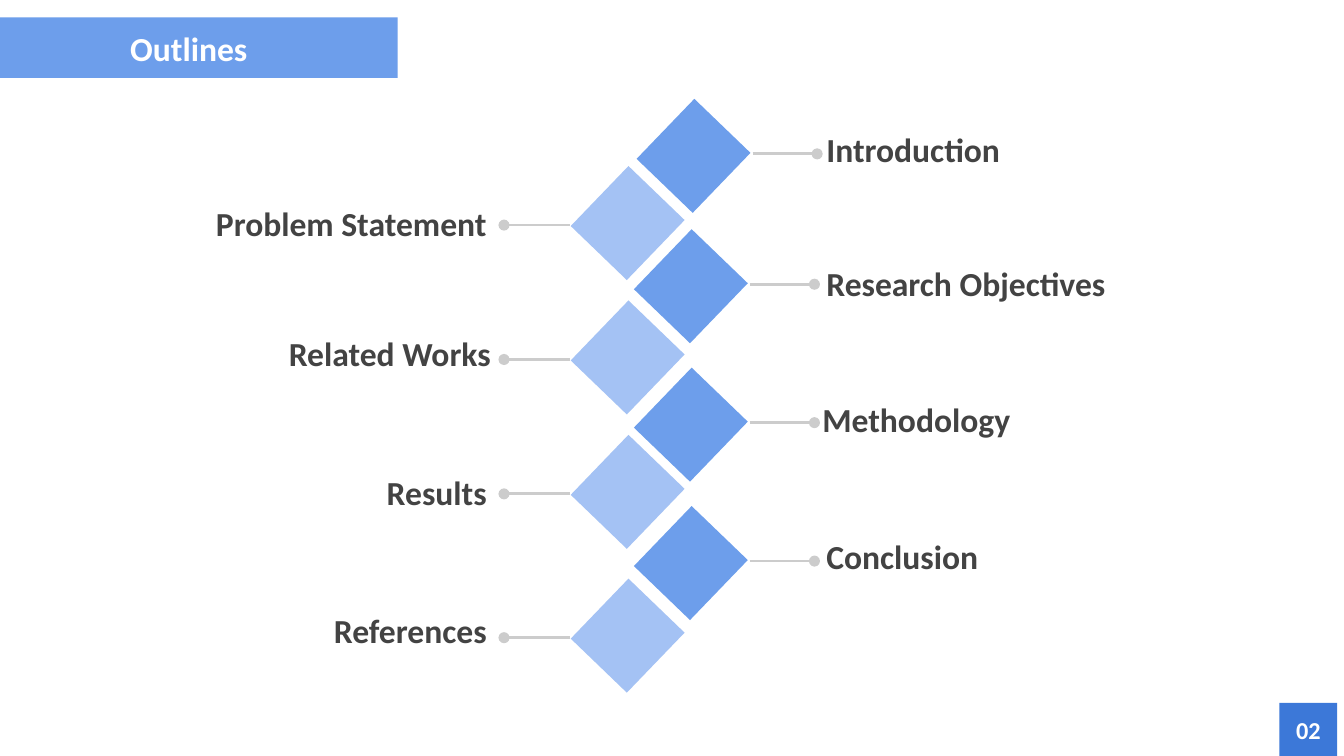
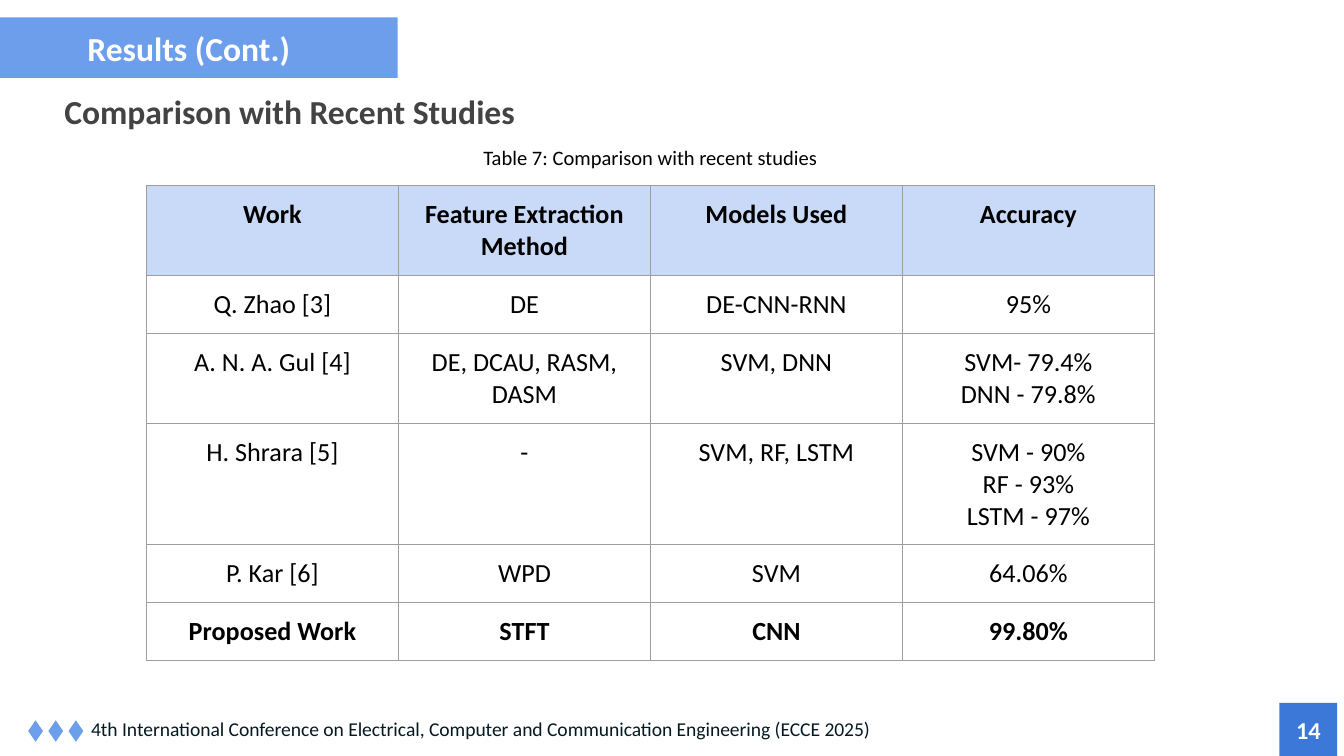
from lxml import etree
from pptx import Presentation
from pptx.dml.color import RGBColor
from pptx.enum.shapes import MSO_CONNECTOR, MSO_SHAPE
from pptx.enum.text import MSO_ANCHOR, MSO_AUTO_SIZE, PP_ALIGN
from pptx.oxml.ns import qn
from pptx.util import Emu, Pt

# Enum members
RECTANGLE, DIAMOND = MSO_SHAPE.RECTANGLE, MSO_SHAPE.DIAMOND
STRAIGHT = MSO_CONNECTOR.STRAIGHT
LEFT, CENTER, RIGHT = PP_ALIGN.LEFT, PP_ALIGN.CENTER, PP_ALIGN.RIGHT
TOP, MIDDLE = MSO_ANCHOR.TOP, MSO_ANCHOR.MIDDLE
FIT_SHAPE = MSO_AUTO_SIZE.SHAPE_TO_FIT_TEXT

# Shared style: 200 px to the inch
SCALE = 4572
WIDTH, HEIGHT = 2000, 1125
INSET = 20
FONT = "Calibri"
WHITE = RGBColor(0xFF, 0xFF, 0xFF)
BLACK = RGBColor(0x00, 0x00, 0x00)
BLUE = RGBColor(0x6D, 0x9E, 0xEB)
LIGHT_BLUE = RGBColor(0xA4, 0xC2, 0xF4)
PALE_BLUE = RGBColor(0xC9, 0xDA, 0xF8)
DEEP_BLUE = RGBColor(0x3C, 0x78, 0xD8)
DARK_GRAY = RGBColor(0x43, 0x43, 0x43)
LINE_GRAY = RGBColor(0xCC, 0xCC, 0xCC)
BORDER_GRAY = RGBColor(0x9E, 0x9E, 0x9E)
INK = RGBColor(0x05, 0x19, 0x22)

CONFERENCE = ("4th International Conference on Electrical, Computer and "
              "Communication Engineering (ECCE 2025)")

# Outline steps from top to bottom, right and left in turn:
# label, diamond left and top, label left and top
OUTLINE = [
    ("Introduction", 974, 170, 1210, 172),
    ("Problem Statement", 876, 270, 228, 282),
    ("Research Objectives", 970, 364, 1210, 372),
    ("Related Works", 876, 470, 234, 476),
    ("Methodology", 970, 570, 1204, 574),
    ("Results", 876, 670, 228, 682),
    ("Conclusion", 970, 776, 1210, 778),
    ("References", 876, 884, 228, 888),
]

STUDIES = [
    ("Work", "Feature Extraction Method", "Models Used", "Accuracy"),
    ("Q. Zhao [3]", "DE", "DE-CNN-RNN", "95%"),
    ("A. N. A. Gul [4]", "DE, DCAU, RASM, DASM", "SVM, DNN",
     "SVM- 79.4%\nDNN - 79.8%"),
    ("H. Shrara [5]", "-", "SVM, RF, LSTM",
     "SVM - 90%\nRF - 93%\nLSTM - 97%"),
    ("P. Kar [6]", "WPD", "SVM", "64.06%"),
    ("Proposed Work", "STFT", "CNN", "99.80%"),
]


def px(*lengths):
    return [Emu(length * SCALE) for length in lengths]


class Deck:
    """Holds the presentation, its style and the current slide."""

    def __init__(self):
        self.deck = Presentation()
        self.deck.slide_width, self.deck.slide_height = px(WIDTH, HEIGHT)

    def page(self, title, number):
        self.slide = self.deck.slides.add_slide(self.deck.slide_layouts[6])
        self.shapes = self.slide.shapes
        badge = self.shape(RECTANGLE, (1904, 1046, 86, 80), DEEP_BLUE)
        self.set_text(badge.text_frame, number, 13, WHITE, True, CENTER, MIDDLE)
        band = self.shape(RECTANGLE, (-30, 26, 622, 90), BLUE)
        self.set_text(band.text_frame, title, 18, WHITE, True, CENTER, MIDDLE)

    def set_text(self, frame, text, size, color, bold, align, anchor=TOP):
        frame.word_wrap = True
        frame.vertical_anchor = anchor
        self.set_margins(frame)
        frame.text = text
        self.set_font(frame, size, color, bold, align)

    def set_margins(self, holder):
        (holder.margin_left, holder.margin_top,
         holder.margin_right, holder.margin_bottom) = px(*[INSET] * 4)

    def set_font(self, frame, size, color, bold, align):
        for para in frame.paragraphs:
            para.alignment = align
            para.font.name = FONT
            para.font.size = Pt(size)
            para.font.bold = bold
            para.font.color.rgb = color

    def shape(self, kind, area, color, rotation=0):
        shape = self.shapes.add_shape(kind, *px(*area))
        shape.shadow.inherit = False
        shape.fill.solid()
        shape.fill.fore_color.rgb = color
        shape.line.fill.background()
        shape.rotation = rotation
        return shape

    def text(self, area, text, size=18, color=DARK_GRAY, bold=True, align=LEFT):
        box = self.shapes.add_textbox(*px(*area))
        self.set_text(box.text_frame, text, size, color, bold, align)
        box.text_frame.auto_size = FIT_SHAPE

    def pointer(self, start, end, y):
        connector = self.shapes.add_connector(STRAIGHT, *px(start, y, end, y))
        connector.line.color.rgb = LINE_GRAY
        connector.line.width = Pt(1.5)
        properties = connector._element.spPr
        outline = properties.find(qn("a:ln"))
        etree.SubElement(outline, qn("a:tailEnd"), type="oval")
        etree.SubElement(properties, qn("a:effectLst"))

    def borders(self, cell):
        properties = cell._tc.get_or_add_tcPr()
        for side in ("lnL", "lnR", "lnT", "lnB"):
            line = etree.SubElement(properties, qn(f"a:{side}"), w=str(Pt(0.75)))
            fill = etree.SubElement(line, qn("a:solidFill"))
            etree.SubElement(fill, qn("a:srgbClr"), val=str(BORDER_GRAY))

    def table(self, left, top, column_width, row_height, rows, bold_rows):
        columns = len(rows[0])
        area = px(left, top, column_width * columns, row_height * len(rows))
        table = self.shapes.add_table(len(rows), columns, *area).table
        table.first_row = table.horz_banding = False
        for r, row in enumerate(rows):
            for c, text in enumerate(row):
                cell = table.cell(r, c)
                self.set_margins(cell)
                cell.text = text
                self.set_font(cell.text_frame, 14, BLACK, r in bold_rows, CENTER)
                self.borders(cell)
                if r == 0:
                    cell.fill.solid()
                    cell.fill.fore_color.rgb = PALE_BLUE
                else:
                    cell.fill.background()

    def footer(self):
        self.shapes = self.slide.shapes.add_group_shape().shapes
        for i in range(3):
            self.shape(DIAMOND, (42 + 30 * i, 1072, 22, 32), BLUE)
        self.text((116, 1050, 1720, 76), CONFERENCE, 10.5, INK, False)
        self.shapes = self.slide.shapes


def build_outline(deck):
    deck.page("Outlines", "02")
    for i, (label, x, y, label_x, label_y) in enumerate(OUTLINE):
        on_right = i % 2 == 0
        deck.shape(RECTANGLE, (x, y, 116, 124),
                   BLUE if on_right else LIGHT_BLUE, 43.9)
        if on_right:
            deck.pointer(x + 146, x + 242, y + 59)
        else:
            deck.pointer(x - 28, x - 126, y + 65)
        deck.text((label_x, label_y, 516, 100), label,
                  align=LEFT if on_right else RIGHT)


def build_comparison(deck):
    deck.page("Results (Cont.)", "14")
    deck.text((76, 116, 1084, 100), "Comparison with Recent Studies")
    deck.text((586, 198, 764, 78), "Table 7: Comparison with recent studies",
              11, BLACK, False, CENTER)
    deck.table(218, 276, 375, 84, STUDIES, (0, len(STUDIES) - 1))
    deck.footer()


def main():
    deck = Deck()
    build_outline(deck)
    build_comparison(deck)
    deck.deck.save("out.pptx")


if __name__ == "__main__":
    main()
